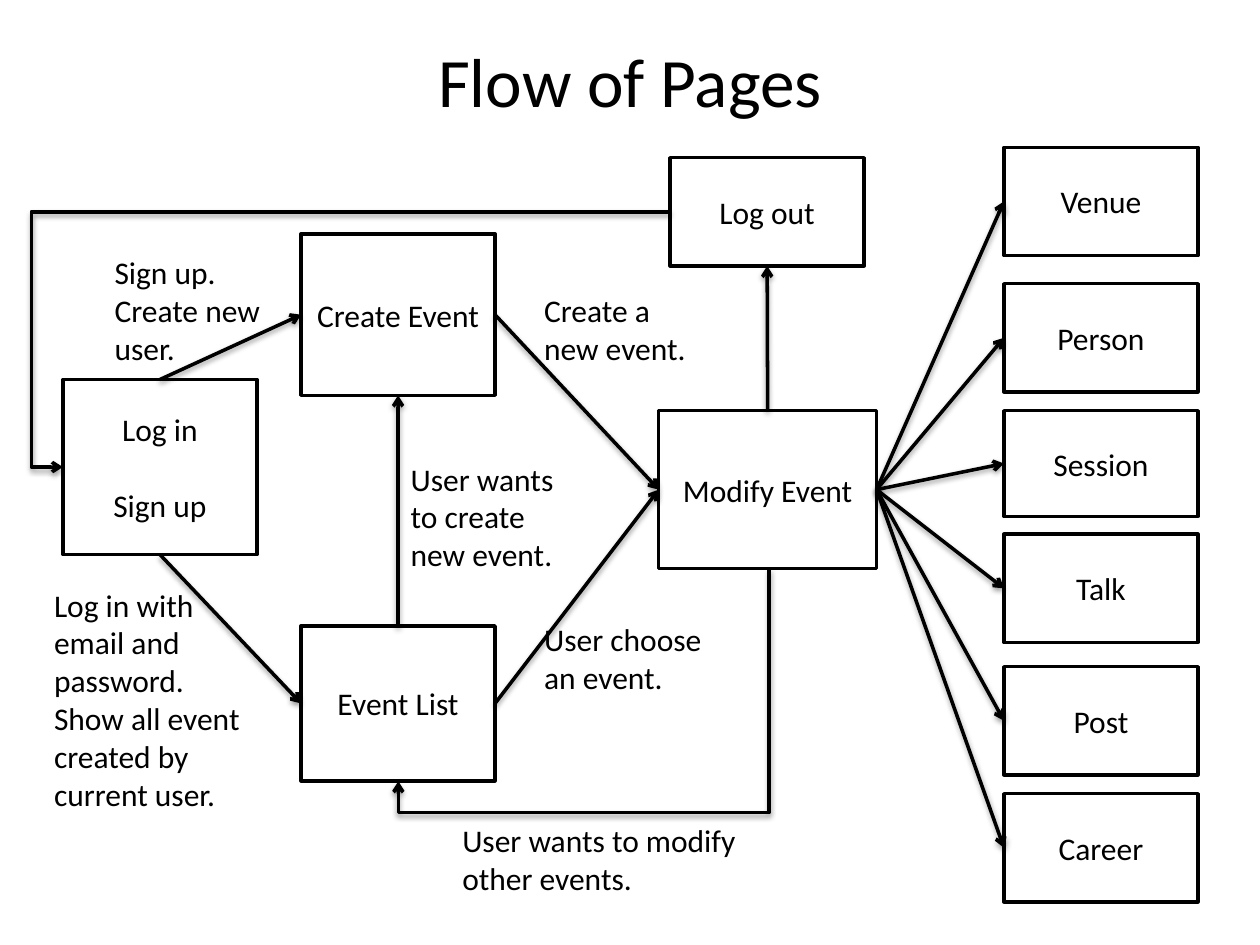
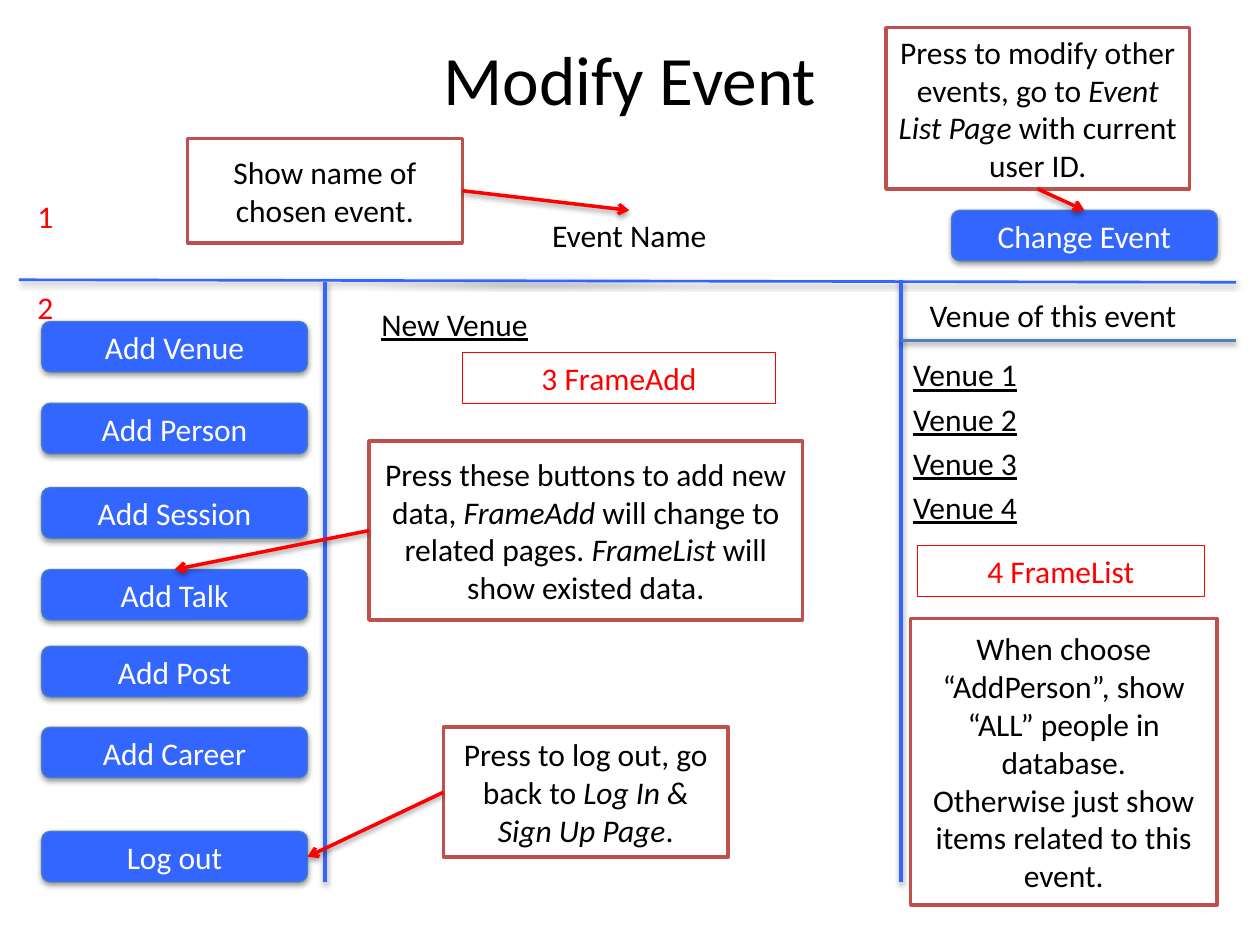
"""Builds two slides: the flow of pages of an event site and its Modify Event page."""
from lxml.etree import SubElement
from pptx import Presentation
from pptx.dml.color import RGBColor
from pptx.enum.shapes import MSO_CONNECTOR, MSO_SHAPE
from pptx.enum.text import MSO_ANCHOR, MSO_AUTO_SIZE, PP_ALIGN
from pptx.oxml import parse_xml
from pptx.oxml.ns import nsdecls, qn
from pptx.util import Cm, Pt

COLORS = {"black": "000000", "white": "FFFFFF", "blue": "3366FF", "edge": "4B7EBC",
          "steel": "4F81BD", "brick": "C0504D", "red": "FF0000"}
RGB = {name: RGBColor.from_string(value) for name, value in COLORS.items()}
SHADOW = (f'<a:effectLst {nsdecls("a")}><a:outerShdw blurRad="40000" dist="20000" dir="5400000" '
          'rotWithShape="0"><a:srgbClr val="000000"><a:alpha val="38000"/></a:srgbClr>'
          '</a:outerShdw></a:effectLst>')
TITLE = {"name": "Calibri", "size": Pt(39.6), "bold": False}
BODY = {"name": "Calibri", "size": Pt(18)}
BOX = {"fill": "white", "edge": "black"}
BUTTON = {"fill": "blue", "edge": "edge", "width": 0.75, "ink": "white", "shadow": True}
FRAME = {"edge": "red", "width": 0.75, "ink": "red"}
CALLOUT = {"fill": "white", "edge": "brick"}
NOTE = {"align": PP_ALIGN.LEFT}
TOP, LEFT, BOTTOM, RIGHT = range(4)


def add(s, kind, at, text, fill=None, edge=None, width=2, ink="black",
        align=PP_ALIGN.CENTER, gap=0, shadow=False, underline=None):
    at = [Cm(v) for v in at]
    if kind is None:
        sp = s.shapes.add_textbox(*at)
    else:
        sp = s.shapes.add_shape(kind, *at)
        if fill:
            sp.fill.solid()
            sp.fill.fore_color.rgb = RGB[fill]
        else:
            sp.fill.background()
        sp.line.color.rgb = RGB[edge]
        sp.line.width = Pt(width)
        if shadow:
            sp._element.spPr.append(parse_xml(SHADOW))
        else:
            sp.shadow.inherit = False
    tf = sp.text_frame
    tf.word_wrap = True
    tf.vertical_anchor = MSO_ANCHOR.MIDDLE if kind else MSO_ANCHOR.TOP
    for i, line in enumerate(text.split("\n")):
        p = tf.add_paragraph() if i else tf.paragraphs[0]
        p.alignment = align
        if i and gap:
            p.space_before = Pt(gap)
        for j, part in enumerate(line.split("*")):
            r = p.add_run()
            r.text = part
            r.font.color.rgb = RGB[ink]
            for key, value in {**BODY, "italic": j % 2 == 1, "underline": underline}.items():
                setattr(r.font, key, value)
    return sp


def connect(s, color, width=2, ends=(0, 0, 0, 0), glue=None, kind=MSO_CONNECTOR.STRAIGHT):
    c = s.shapes.add_connector(kind, *[Cm(v) for v in ends])
    c.line.color.rgb = RGB[color]
    c.line.width = Pt(width)
    if glue:
        c.begin_connect(*glue[:2])
        c.end_connect(*glue[2:])
        SubElement(c.line._get_or_add_ln(), qn("a:tailEnd"), type="arrow")
    c._element.spPr.append(parse_xml(SHADOW))
    return c


prs = Presentation()
prs.slide_width, prs.slide_height = Cm(25.4), Cm(19.05)
slides = []
for title, height in [("Flow of Pages", 1.7), ("Modify Event", 1.63)]:
    s = prs.slides.add_slide(prs.slide_layouts[5])
    sp = s.shapes.title
    place = {"left": 1.27, "top": 0.76, "width": 22.86, "height": height}
    for key, value in place.items():
        setattr(sp, key, Cm(value))
    tf = sp.text_frame
    tf.auto_size = MSO_AUTO_SIZE.NONE
    tf.vertical_anchor = MSO_ANCHOR.MIDDLE
    p = tf.paragraphs[0]
    p.alignment = PP_ALIGN.CENTER
    r = p.add_run()
    r.text = title
    r.font.color.rgb = RGB["black"]
    for key, value in TITLE.items():
        setattr(r.font, key, value)
    slides.append(s)
flow, modify = slides

process = MSO_SHAPE.FLOWCHART_PROCESS
login = add(flow, process, (1.27, 7.65, 3.91, 3.53), "Log in\nSign up", gap=22, **BOX)
create = add(flow, process, (6.07, 4.72, 3.91, 3.25), "Create Event", **BOX)
events = add(flow, process, (6.07, 12.62, 3.91, 3.12), "Event List", **BOX)
editor = add(flow, process, (13.28, 8.28, 4.39, 3.18), "Modify Event", **BOX)
logout = add(flow, process, (13.51, 3.18, 3.91, 2.18), "Log out", **BOX)
for glue in [(login, TOP, create, LEFT), (create, RIGHT, editor, LEFT),
             (login, BOTTOM, events, LEFT), (events, RIGHT, editor, LEFT),
             (events, TOP, create, BOTTOM), (editor, TOP, logout, BOTTOM)]:
    connect(flow, "black", glue=glue)
for text, top, height in [("Venue", 2.97, 2.18), ("Person", 5.72, 2.18),
                          ("Session", 8.28, 2.13), ("Talk", 10.77, 2.18),
                          ("Post", 13.44, 2.18), ("Career", 16, 2.18)]:
    page = add(flow, process, (20.24, top, 3.91, height), text, **BOX)
    connect(flow, "black", glue=(editor, RIGHT, page, LEFT))

back = connect(flow, "black", glue=(editor, BOTTOM, events, BOTTOM), kind=MSO_CONNECTOR.ELBOW)
for key, value in {"left": 9.63, "top": 9.88, "width": 4.27, "height": 7.47}.items():
    setattr(back, key, Cm(value))
xfrm = back._element.spPr.find(qn("a:xfrm"))
for flip in ("flipH", "flipV"):
    xfrm.attrib.pop(flip, None)
xfrm.set("rot", "5400000")
leave = connect(flow, "black", glue=(logout, LEFT, login, LEFT), kind=MSO_CONNECTOR.ELBOW)
for c, bend in [(back, 114800), (leave, 105200)]:
    guides = c._element.spPr.find(".//" + qn("a:avLst"))
    SubElement(guides, qn("a:gd"), name="adj1", fmla=f"val {bend}")

for text, at in [
    ("Sign up.\nCreate new user.", (2.06, 4.98, 3.56, 2.57)),
    ("Log in with email and password.\nShow all event created by current user.",
     (0.84, 11.68, 4.78, 4.88)),
    ("User wants to create new event.", (8.03, 9.14, 3.45, 2.57)),
    ("User choose an event.", (10.72, 12.37, 3.91, 1.8)),
    ("Create a new event.", (10.72, 5.74, 3.53, 1.8)),
    ("User wants to modify other events.", (9.07, 16.43, 6.71, 1.8)),
]:
    add(flow, None, at, text, **NOTE)

for color, width, ends in [("blue", 1.5, (0.38, 5.64, 24.92, 5.69)),
                           ("blue", 2, (6.55, 5.69, 6.55, 17.78)),
                           ("blue", 2, (18.16, 5.64, 18.16, 17.78)),
                           ("steel", 2, (18.16, 6.86, 24.92, 6.86))]:
    connect(modify, color, width, ends)

buttons = {}
for text, left, top in [("Change Event", 19.18, 4.24), ("Add Venue", 0.84, 6.48),
                        ("Add Person", 0.84, 8.13), ("Add Session", 0.84, 9.83),
                        ("Add Talk", 0.84, 11.48), ("Add Post", 0.84, 13.03),
                        ("Add Career", 0.84, 14.66), ("Log out", 0.84, 16.76)]:
    buttons[text] = add(modify, MSO_SHAPE.ROUNDED_RECTANGLE, (left, top, 5.36, 1.02),
                        text, **BUTTON)

name = add(modify, None, (8, 4.24, 9.37, 1.02), "Event Name")
add(modify, None, (7.44, 6.02, 6.55, 1.02), "New Venue", underline=True, **NOTE)
add(modify, None, (18.49, 5.84, 6.07, 1.02), "Venue of this event", **NOTE)
for i in range(4):
    add(modify, None, (18.16, 7.04 + 0.89 * i, 6.1, 1.02), f"Venue {i + 1}",
        underline=True, **NOTE)
for text, top in [("1", 3.84), ("2", 5.69)]:
    add(modify, None, (0.38, top, 1.07, 1.02), text, ink="red")
for text, left, top, width in [("3 FrameAdd", 9.32, 7.11, 6.32),
                               ("4 FrameList", 18.49, 11, 5.79)]:
    add(modify, MSO_SHAPE.RECTANGLE, (left, top, width, 1.02), text, **FRAME)

for at, text, start, target, end in [
    ((17.86, 0.56, 6.12, 3.25),
     "Press to modify other events, go to *Event List Page* with current user ID.",
     BOTTOM, buttons["Change Event"], TOP),
    ((3.78, 2.79, 5.54, 2.11), "Show name of chosen event.", RIGHT, name, TOP),
    ((7.44, 8.89, 8.74, 3.61),
     "Press these buttons to add new data, *FrameAdd* will change to related pages. "
     "*FrameList* will show existed data.", LEFT, buttons["Add Talk"], TOP),
    ((8.94, 14.66, 5.74, 2.62), "Press to log out, go back to *Log In & Sign Up Page*.",
     LEFT, buttons["Log out"], RIGHT),
    ((18.36, 12.47, 6.17, 5.77),
     "When choose “AddPerson”, show “ALL” people in database.\n"
     "Otherwise just show items related to this event.", None, None, None),
]:
    sp = add(modify, process, at, text, **CALLOUT)
    if target:
        connect(modify, "red", glue=(sp, start, target, end))

prs.save("out.pptx")
